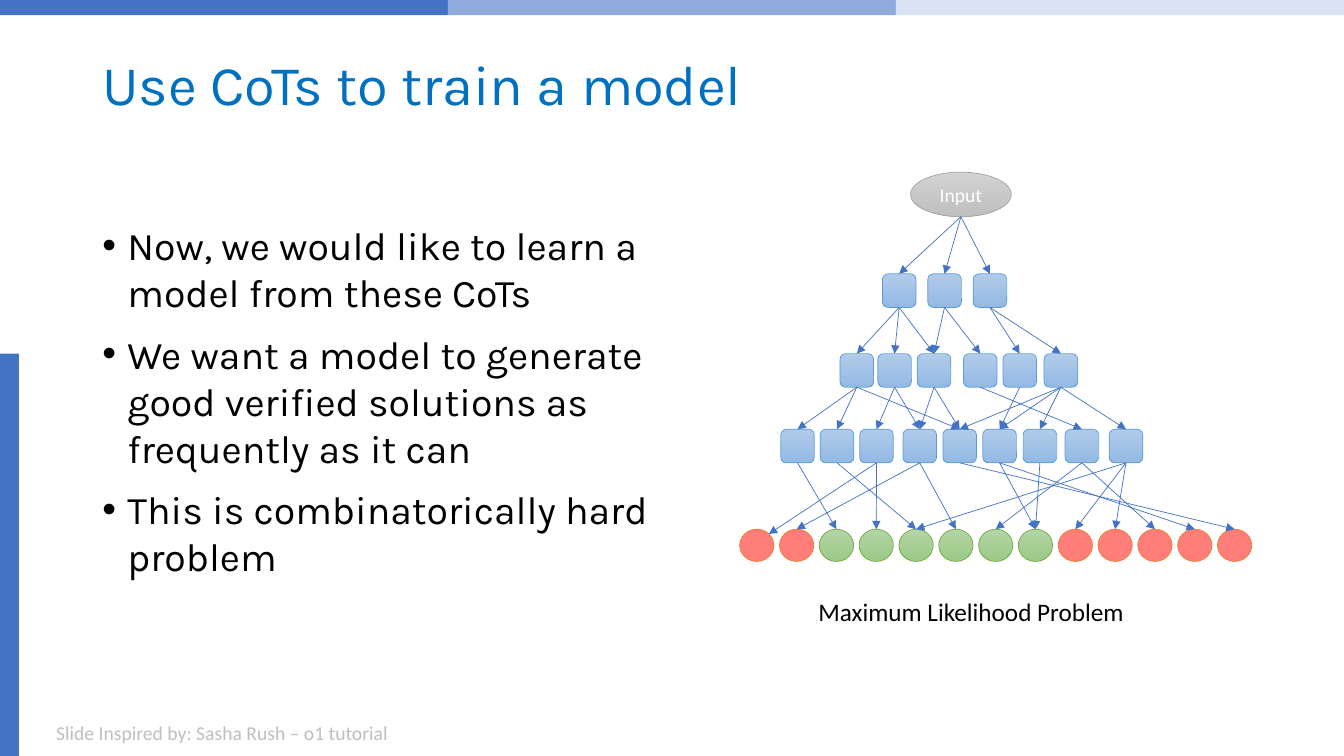
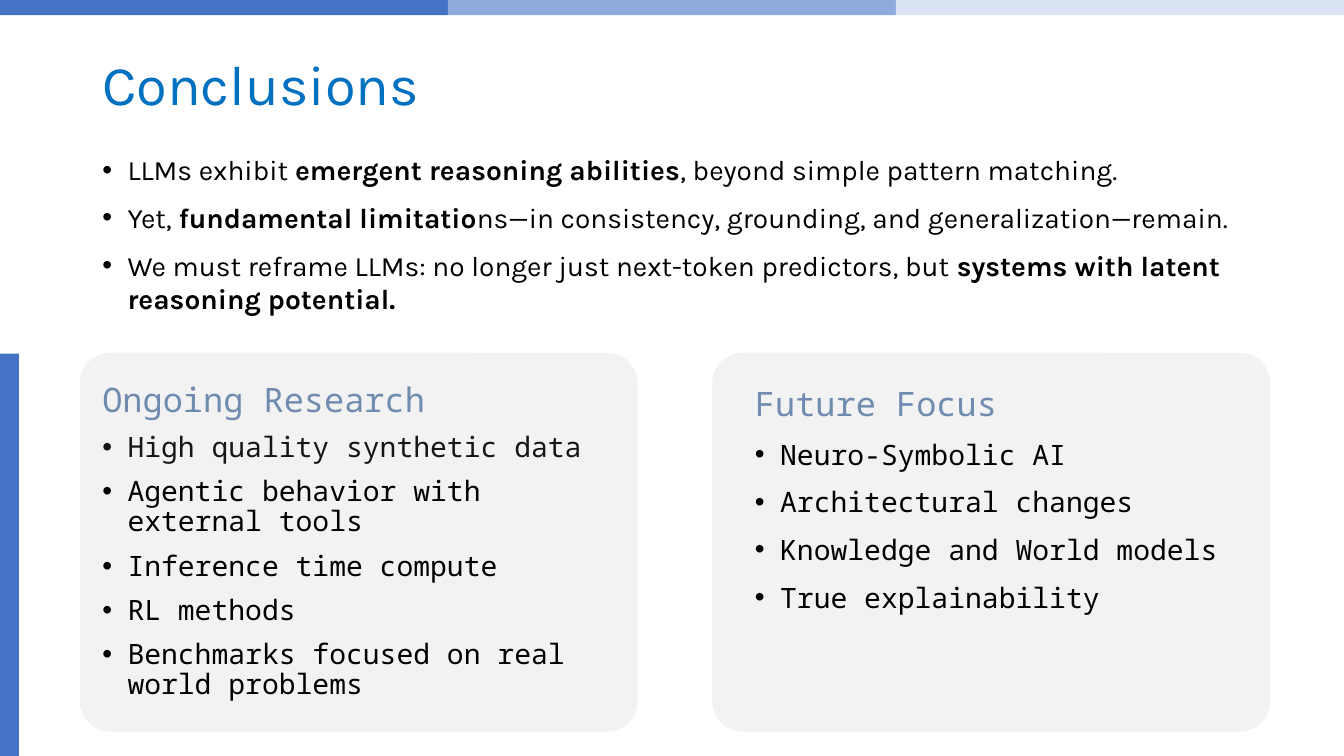
from lxml import etree
from pptx import Presentation
from pptx import util as u
from pptx.dml.color import RGBColor
from pptx.enum import shapes, text
from pptx.oxml import ns

# Grid: 160 columns by 90 rows of square cells
COLS, ROWS = 160, 90
CELL = u.Inches(1) / 12

HEX = {
    "band1": "4472C4", "band2": "8FAADC", "band3": "DAE3F3",
    "title": "0070C0", "black": "000000", "ink": "161616",
    "white": "FFFFFF", "footer": "BFBFBF", "heading": "708BB0",
    "panel": "F2F2F2", "arrow": "4472C4",
}
# Node looks: top colour, bottom colour, outline
LOOKS = {
    "input": ("D2D2D2", "C0C0C0", "A5A5A5"),
    "step": ("B1CBE9", "93B9E4", "5B9BD5"),
    "good": ("B5D5A7", "9CC987", "70AD47"),
    "bad": ("FF7E79", "FF7E79", "ED7D31"),
}
SANS, BODY, MONO = "Karla", "Calibri", "Noto Sans Mono"
KIND = shapes.MSO_SHAPE


def cells(*values):
    return [u.Emu(round(v * CELL)) for v in values]


def rgb(value):
    return RGBColor.from_string(value)


class Deck:
    def __init__(self):
        self.prs = Presentation()
        self.prs.slide_width, self.prs.slide_height = cells(COLS, ROWS)
        self.s = None

    def slide(self, title):
        """Start a slide with the bands and the title."""
        self.s = self.prs.slides.add_slide(self.prs.slide_layouts[6])
        third = COLS / 3
        for i, band in enumerate(("band1", "band2", "band3")):
            self.block((i * third, 0, third, 1.8), band)
        self.block((0, 42.1, 2.25, 47.9), "band1")
        tf = self.box((11, 4.8, 138, 11.3), text.MSO_ANCHOR.MIDDLE)
        self.para(tf, title, 40, SANS, "title", spacing=0.9)

    def shape(self, kind, at):
        sp = self.s.shapes.add_shape(kind, *cells(*at))
        sp.shadow.inherit = False
        return sp

    def block(self, at, color, kind=KIND.RECTANGLE, radius=None):
        sp = self.shape(kind, at)
        sp.fill.solid()
        sp.fill.fore_color.rgb = rgb(HEX[color])
        sp.line.fill.background()
        if radius is not None:
            sp.adjustments[0] = radius

    def node(self, kind, center, top, size, look):
        """Outlined shape, shaded from top to bottom."""
        w, h = size
        sp = self.shape(kind, (center - w / 2, top, w, h))
        upper, lower, outline = LOOKS[look]
        if upper == lower:
            sp.fill.solid()
            sp.fill.fore_color.rgb = rgb(upper)
        else:
            sp.fill.gradient()
            sp.fill.gradient_angle = 270
            for stop, color in zip(sp.fill.gradient_stops, (upper, lower)):
                stop.color.rgb = rgb(color)
        sp.line.color.rgb = rgb(outline)
        sp.line.width = u.Pt(0.5)
        return sp

    def arrow(self, a, b, corner=False):
        """Arrow from the bottom of a to the top, or top right, of b."""
        x, y = b.left + b.width // 2, b.top
        if corner:
            x, y = x + int(b.width * 0.35), y + int(b.height * 0.15)
        c = self.s.shapes.add_connector(
            shapes.MSO_CONNECTOR.STRAIGHT,
            a.left + a.width // 2, a.top + a.height, x, y)
        if a.auto_shape_type == KIND.ROUNDED_RECTANGLE:
            c.begin_connect(a, 2)
        if not corner:
            c.end_connect(b, 0)
        c.line.color.rgb = rgb(HEX["arrow"])
        c.line.width = u.Pt(0.5)
        ln = c.line._get_or_add_ln()
        etree.SubElement(ln, ns.qn("a:tailEnd"), type="triangle")
        etree.SubElement(ln.getparent(), ns.qn("a:effectLst"))

    def box(self, at, anchor=text.MSO_ANCHOR.TOP):
        tf = self.s.shapes.add_textbox(*cells(*at)).text_frame
        tf.word_wrap = True
        tf.vertical_anchor = anchor
        return tf

    def para(self, tf, words, size, font, color, bullet=False, spacing=None,
             align=text.PP_ALIGN.LEFT):
        """Add a paragraph; words between ** marks are bold."""
        p = tf.paragraphs[0]
        if p.runs:
            p = tf.add_paragraph()
            p.space_before = u.Pt(10)
        if bullet:
            pPr = p._p.get_or_add_pPr()
            pPr.set("marL", str(u.Inches(0.25)))
            pPr.set("indent", str(-u.Inches(0.25)))
            etree.SubElement(pPr, ns.qn("a:buFont"), typeface="Arial")
            etree.SubElement(pPr, ns.qn("a:buChar"), char="•")
        p.alignment = align
        if spacing:
            p.line_spacing = spacing
        for i, part in enumerate(words.split("**")):
            if part:
                r = p.add_run()
                r.text = part
                r.font.size, r.font.name = u.Pt(size), font
                r.font.bold = i % 2 == 1
                r.font.color.rgb = rgb(HEX[color])

    def bullets(self, tf, items, size, font, spacing=None):
        for item in items:
            self.para(tf, item, size, font, "black", True, spacing)


def training_slide(d):
    d.slide("Use CoTs to train a model")
    d.bullets(d.box((11, 25.8, 73, 51.5)), [
        "Now, we would like to learn a model from these CoTs",
        "We want a model to generate good verified solutions as "
        "frequently as it can",
        "This is combinatorically hard problem",
    ], 28, SANS)

    # Tree levels: the input, three rows of steps, the outcomes
    root = d.node(KIND.OVAL, 114.4, 20.5, (12, 5.3), "input")
    root.text_frame.vertical_anchor = text.MSO_ANCHOR.MIDDLE
    d.para(root.text_frame, "Input", 14, BODY, "white",
           align=text.PP_ALIGN.CENTER)
    step_rows = [
        (32.6, [107.05 + 5.4 * i for i in range(3)]),
        (42.1, [102, 106.5, 111.2, 116.7, 121.4, 126.3]),
        (51.1, [94.95, 99.65, 104.35, 109.5, 114.25, 119, 123.8, 128.8,
                134.05]),
    ]
    levels = [[root]]
    for top, centers in step_rows:
        levels.append([d.node(KIND.ROUNDED_RECTANGLE, x, top, (4, 4), "step")
                       for x in centers])
    levels.append([d.node(KIND.OVAL, 90.1 + 4.74 * i, 63, (4.08, 3.84),
                          "good" if 2 <= i <= 7 else "bad")
                   for i in range(13)])

    # Children of each node, level by level
    children = [
        [(0, 1, 2)],
        [(0, 1, 2), (2, 3), (4, 5)],
        [(0, 1, 4), (2, 3), (3, 4), (7,), (5,), (4, 5, 6, 8)],
        [(2,), (4,), (0, 3), (1, 5), (12,), (7, 11), (7,), (6, 10),
         (4, 8, 9)],
    ]
    outcomes = levels[-1]
    for parents, targets, links in zip(levels, levels[1:], children):
        for parent, kids in zip(parents, links):
            for k in kids:
                d.arrow(parent, targets[k],
                        corner=targets is outcomes and k == 0)

    # Caption and credit
    d.para(d.box((94, 70.4, 43.2, 4.8)), "Maximum Likelihood Problem", 18,
           BODY, "black", align=text.PP_ALIGN.CENTER)
    d.para(d.box((5.5, 85.2, 80, 4.1)),
           "Slide Inspired by: Sasha Rush – o1 tutorial", 14, BODY, "footer")


def conclusions_slide(d):
    d.slide("Conclusions")
    d.bullets(d.box((11, 17.6, 140.3, 22.9)), [
        "LLMs exhibit **emergent reasoning abilities**, beyond simple "
        "pattern matching.",
        "Yet, **fundamental limitatio**ns—in consistency, grounding, and "
        "generalization—remain.",
        "We must reframe LLMs: no longer just next-token predictors, but "
        "**systems with latent reasoning potential.**",
    ], 20, SANS)

    # Panels
    for x in (9.5, 84.8):
        d.block((x, 42, 66.4, 45.1), "panel", KIND.ROUNDED_RECTANGLE, 0.08)

    ongoing = d.box((11, 45, 60.4, 40.2))
    d.para(ongoing, "Ongoing Research", 24, MONO, "heading", spacing=0.9)
    d.para(ongoing, "High quality synthetic data", 20, MONO, "ink", True, 0.9)
    d.bullets(ongoing, [
        "Agentic behavior with external tools",
        "Inference time compute",
        "RL methods",
        "Benchmarks focused on real world problems",
    ], 20, MONO, 0.9)

    future = d.box((88.7, 45, 65.5, 42.1))
    d.para(future, "Future Focus", 24, MONO, "heading")
    d.bullets(future, [
        "Neuro-Symbolic AI",
        "Architectural changes",
        "Knowledge and World models",
        "True explainability",
    ], 20, MONO)


def main():
    d = Deck()
    training_slide(d)
    conclusions_slide(d)
    d.prs.save("out.pptx")


if __name__ == "__main__":
    main()
